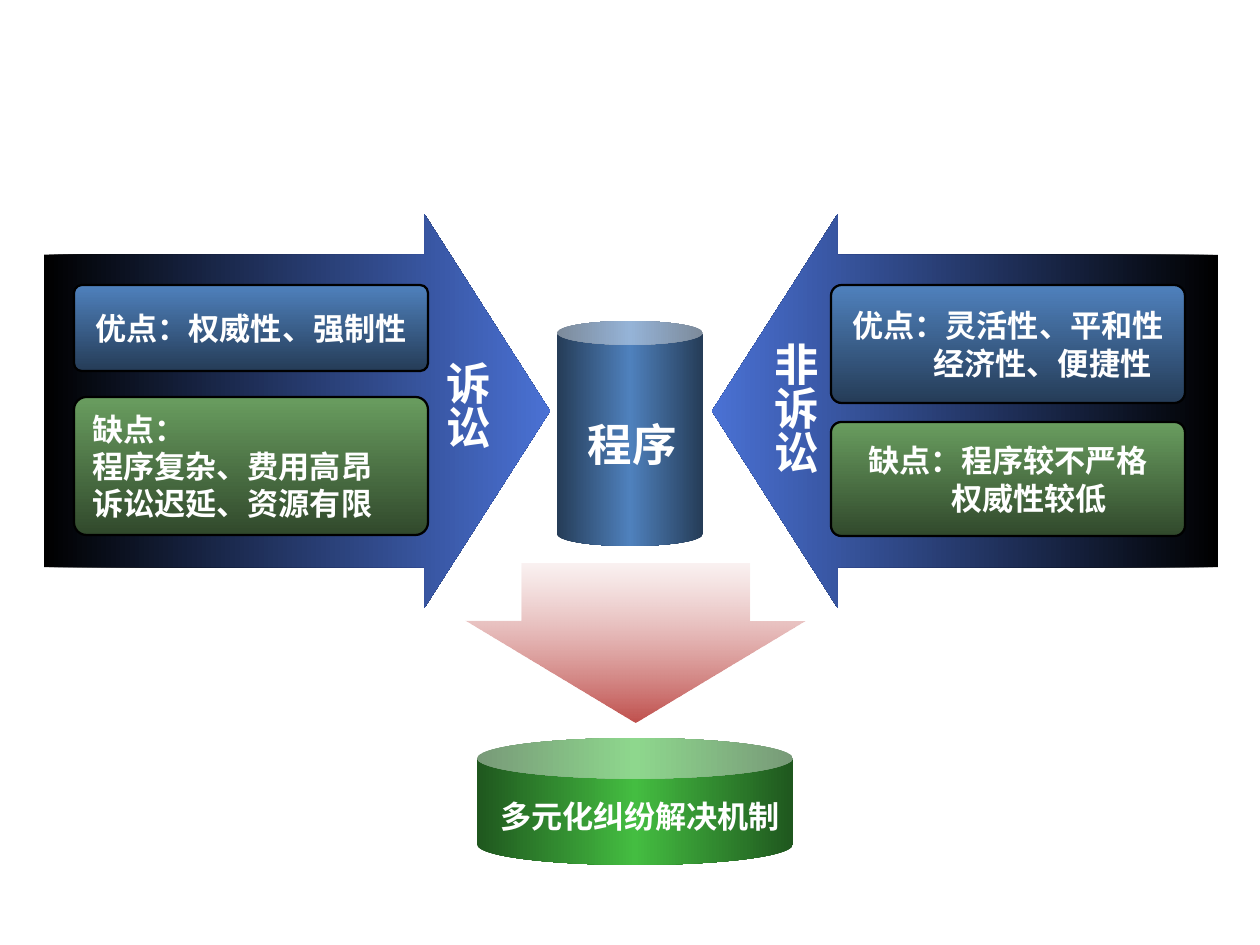
"""Build the slide on litigation, non-litigation and diversified dispute resolution."""
import pptx
import pptx.dml.color
import pptx.enum.shapes
import pptx.enum.text
import pptx.oxml
import pptx.oxml.ns
import pptx.util

PX = 11430
FONT = "Noto Sans CJK SC"
COLORS = {
    "white": "FFFFFF", "black": "000000",
    "blue": "4F81BD", "dark_blue": "253C57", "arrow_blue": "4A71D4",
    "green": "699D5F", "dark_green": "31492C",
    "bright_green": "44BD41", "deep_green": "1F571E",
    "pink": "D7908E", "red": "C0504D",
}
GRADIENTS = {
    "blue_can": (0, ["dark_blue", "blue", "dark_blue"]),
    "green_can": (0, ["deep_green", "bright_green", "deep_green"]),
    "side_arrow": (0, ["black", "arrow_blue"]),
    "down_arrow": (90, ["pink", "red"]),
    "advantage": (90, ["blue", "dark_blue"]),
    "drawback": (90, ["green", "dark_green"]),
}
OPACITY = {"pink": 12}
SHAPES = pptx.enum.shapes.MSO_SHAPE
ALIGN = pptx.enum.text.PP_ALIGN
WHITE = pptx.dml.color.RGBColor.from_string(COLORS["white"])


def add_gradient_shape(kind, box, adjustments, gradient):
    shape = slide.shapes.add_shape(kind, *[value * PX for value in box])
    shape.shadow.inherit = False
    shape.line.fill.background()
    for index, value in enumerate(adjustments):
        shape.adjustments[index] = value
    angle, names = GRADIENTS[gradient]
    stops = ""
    for index, name in enumerate(names):
        position = 100000 * index // (len(names) - 1)
        alpha = OPACITY.get(name, 100) * 1000
        stops += (f'<a:gs pos="{position}"><a:srgbClr val="{COLORS[name]}">'
                  f'<a:alpha val="{alpha}"/></a:srgbClr></a:gs>')
    shape.fill.background()
    properties = shape._element.spPr
    properties.replace(
        properties.find(pptx.oxml.ns.qn("a:noFill")),
        pptx.oxml.parse_xml(
            f'<a:gradFill {pptx.oxml.ns.nsdecls("a")} rotWithShape="1"><a:gsLst>{stops}</a:gsLst>'
            f'<a:lin ang="{angle * 60000}" scaled="0"/></a:gradFill>'))
    return shape


def write_text(shape, lines, size, alignment, frame_format):
    frame = shape.text_frame
    for name, value in frame_format.items():
        setattr(frame, name, value)
    for index, (text, indent) in enumerate(lines):
        paragraph = frame.add_paragraph() if index else frame.paragraphs[0]
        paragraph.alignment = alignment
        if indent:
            paragraph._p.get_or_add_pPr().set("marL", str(indent * PX))
        run = paragraph.add_run()
        run.text = text
        run.font.color.rgb = WHITE
        font_format = {"size": pptx.util.Pt(size), "bold": True, "name": FONT}
        for name, value in font_format.items():
            setattr(run.font, name, value)
        run.font._element.find(pptx.oxml.ns.qn("a:latin")).addnext(pptx.oxml.parse_xml(
            f'<a:ea {pptx.oxml.ns.nsdecls("a")} typeface="{FONT}"/>'))


presentation = pptx.Presentation()
presentation.slide_width = 1260 * PX
presentation.slide_height = 945 * PX
slide = presentation.slides.add_slide(presentation.slide_layouts[6])

grow = {"auto_size": pptx.enum.text.MSO_AUTO_SIZE.SHAPE_TO_FIT_TEXT}
cans = [
    ((557, 321, 146, 225), 0.163, "blue_can", "程序", 40, (578, 413, 108, 62)),
    ((477, 738, 316, 127), 0.32, "green_can", "多元化纠纷解决机制", 28, (488, 793, 304, 46)),
]
for box, adjustment, gradient, text, size, label_box in cans:
    add_gradient_shape(SHAPES.CAN, box, [adjustment], gradient)
    label = slide.shapes.add_textbox(*[value * PX for value in label_box])
    write_text(label, [(text, 0)], size, ALIGN.CENTER, {"word_wrap": False, **grow})

add_gradient_shape(SHAPES.DOWN_ARROW, (465, 564, 340, 158), [0.671, 0.641], "down_arrow")

sides = [
    (44, 0, 74, [
        (285, 86, "advantage", ALIGN.CENTER, [("优点：权威性、强制性", 0)]),
        (397, 138, "drawback", ALIGN.LEFT,
         [("缺点：", 7), ("程序复杂、费用高昂", 7), ("诉讼迟延、资源有限", 7)]),
    ]),
    (712, 180, 831, [
        (285, 118, "advantage", ALIGN.CENTER,
         [("优点：灵活性、平和性", 0), ("经济性、便捷性", 69)]),
        (422, 114, "drawback", ALIGN.CENTER,
         [("缺点：程序较不严格", 0), ("权威性较低", 42)]),
    ]),
]
card_frame = {"word_wrap": True, "vertical_anchor": pptx.enum.text.MSO_ANCHOR.MIDDLE}
for arrow_left, rotation, card_left, cards in sides:
    arrow = add_gradient_shape(
        SHAPES.RIGHT_ARROW, (arrow_left, 214, 506, 394), [0.793, 0.319], "side_arrow")
    arrow.rotation = rotation
    for top, height, gradient, alignment, lines in cards:
        card = add_gradient_shape(
            SHAPES.ROUNDED_RECTANGLE, (card_left, top, 354, height), [0.091], gradient)
        card.line.color.rgb = pptx.dml.color.RGBColor.from_string(COLORS["black"])
        card.line.width = pptx.util.Pt(2)
        write_text(card, lines, 28, alignment, card_frame)

vertical_frame = {
    "word_wrap": True, "margin_left": 4 * PX, "margin_right": 4 * PX,
    "margin_top": 8 * PX, "margin_bottom": 8 * PX, **grow,
}
for text, left, top, height in [("诉讼", 429, 353, 108), ("非诉讼", 757, 334, 152)]:
    label = slide.shapes.add_textbox(left * PX, top * PX, 69 * PX, height * PX)
    write_text(label, [(text, 0)], 40, ALIGN.LEFT, vertical_frame)
    label.text_frame._txBody.bodyPr.set("vert", "eaVert")

presentation.save("out.pptx")
